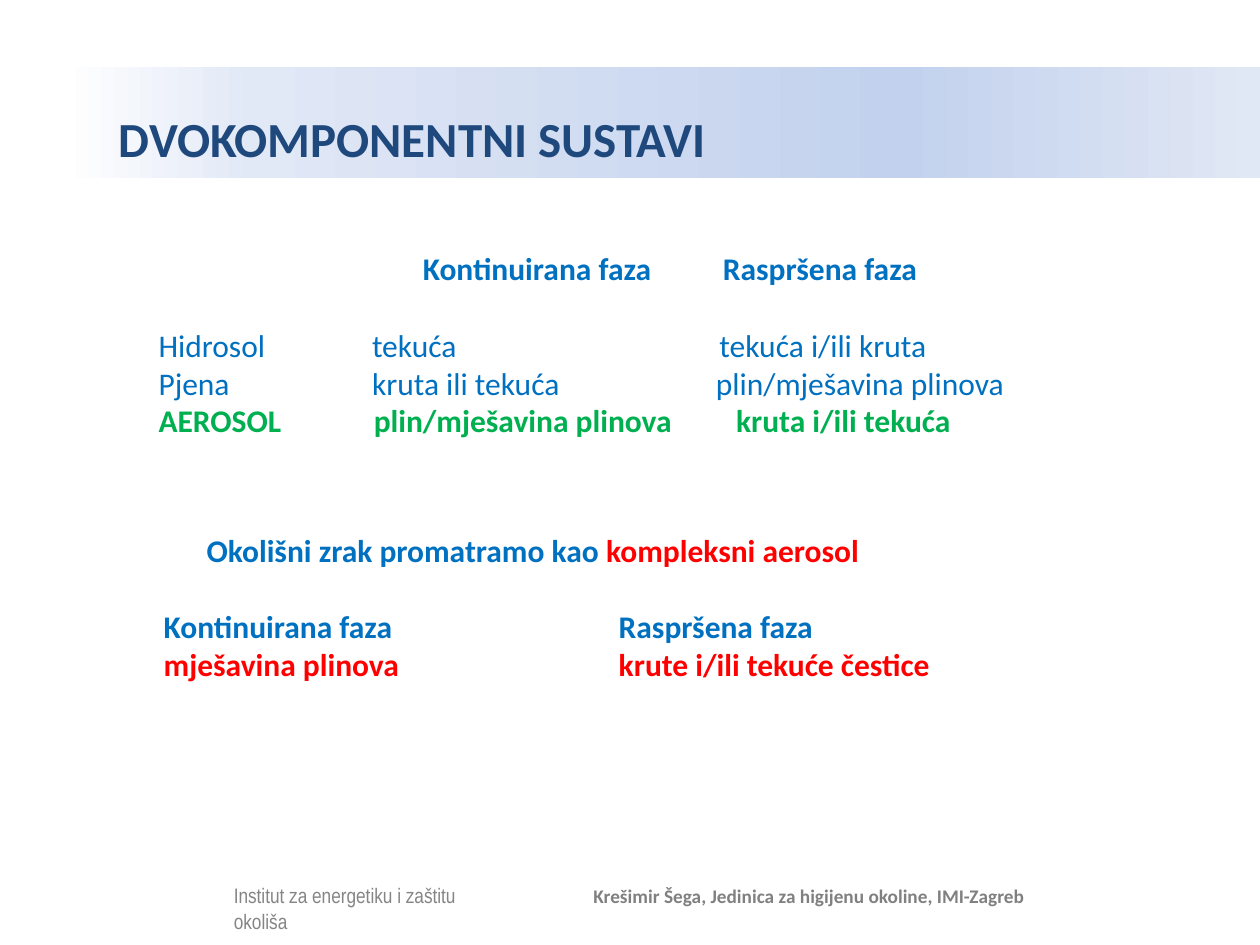
"""Builds the slide on two-component systems and the complex aerosol."""
from lxml import etree
from pptx import Presentation
from pptx import util as u
from pptx.dml.color import RGBColor
from pptx.enum import shapes, text
from pptx.oxml.ns import qn

NAVY = RGBColor(0x1F, 0x49, 0x7D)
BLUE = RGBColor(0x00, 0x70, 0xC0)
GREEN = RGBColor(0x00, 0xB0, 0x50)
RED = RGBColor(0xFF, 0x00, 0x00)
GREY = RGBColor(0x80, 0x80, 0x80)
BLACK = RGBColor(0x00, 0x00, 0x00)
WHITE = RGBColor(0xFF, 0xFF, 0xFF)
BAND_STOPS = [
    (0, WHITE),
    (16, RGBColor(0xE1, 0xE8, 0xF6)),
    (70, RGBColor(0xC2, 0xD1, 0xED)),
    (100, RGBColor(0xE1, 0xE8, 0xF5)),
]
BLANK_LINE = 22


def add_run(paragraph, content, color, size, bold=True, font="Calibri"):
    run = paragraph.add_run()
    run.text = content
    run.font.name = font
    run.font.size = u.Pt(size)
    run.font.bold = bold
    run.font.color.rgb = color


def set_tabs(paragraph, stops):
    properties = paragraph._p.get_or_add_pPr()
    tab_list = etree.SubElement(properties, qn("a:tabLst"))
    for stop in stops:
        etree.SubElement(tab_list, qn("a:tab"), pos=str(u.Pt(stop)), algn="l")


def add_text(slide, left, top, width, height, wrap=True):
    box = slide.shapes.add_textbox(u.Pt(left), u.Pt(top), u.Pt(width), u.Pt(height))
    box.text_frame.word_wrap = wrap
    return box.text_frame


def add_lines(frame, lines):
    for index, (stops, space_before, runs, bold) in enumerate(lines):
        paragraph = frame.add_paragraph() if index else frame.paragraphs[0]
        set_tabs(paragraph, stops)
        if space_before:
            paragraph.space_before = u.Pt(space_before)
        for content, color in runs:
            add_run(paragraph, content, color, 18, bold)


def add_rectangle(slide, left, top, width, height):
    shape = slide.shapes.add_shape(
        shapes.MSO_SHAPE.RECTANGLE, u.Pt(left), u.Pt(top), u.Pt(width), u.Pt(height))
    shape.shadow.inherit = False
    shape.line.fill.background()
    return shape


def add_title(slide, title):
    band = add_rectangle(slide, 36, 38.5, 684, 63.5)
    band.fill.gradient()
    band.fill.gradient_angle = 0
    stop_list = band._element.spPr.find(".//" + qn("a:gsLst"))
    for stop in list(stop_list):
        stop_list.remove(stop)
    for position, color in BAND_STOPS:
        stop = etree.SubElement(stop_list, qn("a:gs"), pos=str(position * 1000))
        etree.SubElement(stop, qn("a:srgbClr"), val=str(color))
    frame = band.text_frame
    frame.word_wrap = True
    frame.margin_left = u.Pt(32)
    frame.vertical_anchor = text.MSO_ANCHOR.MIDDLE
    paragraph = frame.paragraphs[0]
    paragraph.alignment = text.PP_ALIGN.LEFT
    paragraph.line_spacing = 1.5
    add_run(paragraph, title, NAVY, 28)


def add_footer(slide):
    institute = add_text(slide, 126.5, 501, 150.5, 18)
    add_run(institute.paragraphs[0], "Institut za energetiku i zaštitu okoliša",
            BLACK, 12, False, "Arial Narrow")
    veil = add_rectangle(slide, 29.5, 499, 275, 34.5)
    veil.fill.solid()
    veil.fill.fore_color.rgb = WHITE
    color = veil._element.spPr.find(qn("a:solidFill")).find(qn("a:srgbClr"))
    etree.SubElement(color, qn("a:alpha"), val="52000")
    author = add_text(slide, 332, 502, 263.5, 21, wrap=False)
    add_run(author.paragraphs[0], "Krešimir Šega, Jedinica za higijenu okoline, IMI-Zagreb",
            GREY, 11)


def main():
    presentation = Presentation()
    presentation.slide_width, presentation.slide_height = u.Pt(720), u.Pt(540)
    slide = presentation.slides.add_slide(presentation.slide_layouts[6])
    add_title(slide, "DVOKOMPONENTNI SUSTAVI")
    systems = add_text(slide, 83.5, 139, 594.5, 116.5)
    add_lines(systems, [
        ((151, 322.5), 0, [("\tKontinuirana faza\tRaspršena faza", BLUE)], True),
        ((122, 320.5), BLANK_LINE, [("Hidrosol\ttekuća\ttekuća i/ili kruta", BLUE)], False),
        ((122, 318.5), 0, [("Pjena\tkruta ili tekuća\tplin/mješavina plinova", BLUE)], False),
        ((123, 330), 0, [("AEROSOL\tplin/mješavina plinova\tkruta i/ili tekuća", GREEN)], True),
    ])
    aerosol = add_text(slide, 62, 300, 517.5, 94.5)
    phases = (24.5, 284.5)
    add_lines(aerosol, [
        ((49,), 0, [("\tOkolišni zrak promatramo kao ", BLUE),
                    ("kompleksni aerosol", RED)], True),
        (phases, BLANK_LINE, [("\tKontinuirana faza\tRaspršena faza", BLUE)], True),
        (phases, 0, [("\tmješavina plinova\tkrute i/ili tekuće čestice", RED)], True),
    ])
    add_footer(slide)
    presentation.save("out.pptx")


if __name__ == "__main__":
    main()
